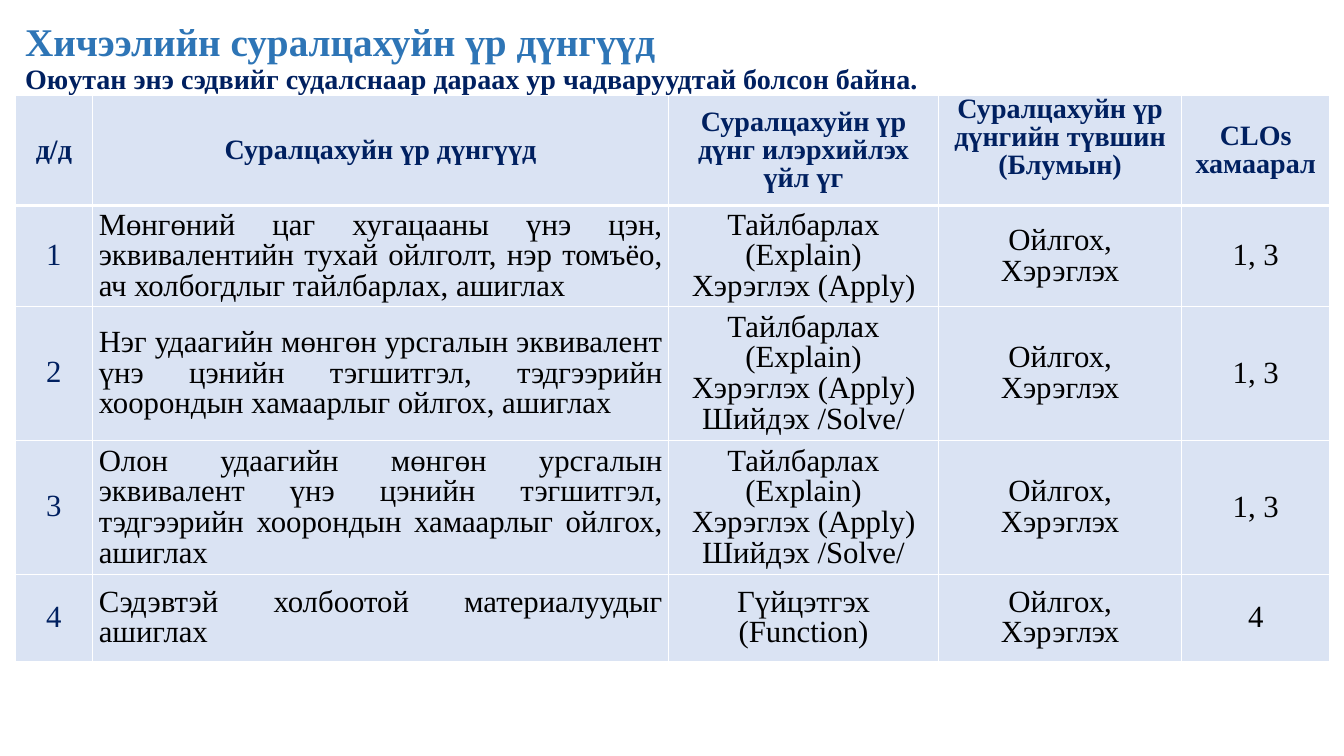
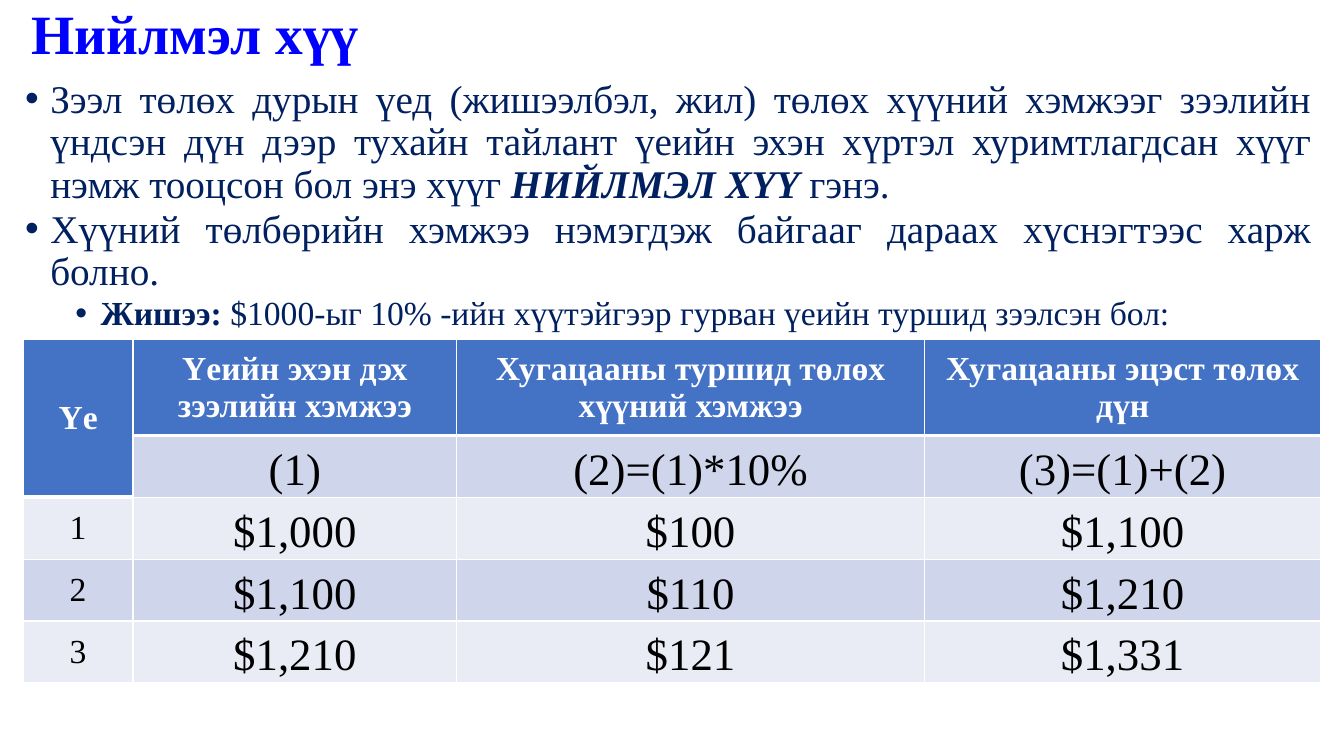
"""Build two slides on learning outcomes and compound interest."""
from lxml.etree import SubElement
from pptx import Presentation
from pptx.dml.color import RGBColor
from pptx.enum.text import MSO_ANCHOR as ANCHOR, PP_ALIGN as ALIGN
from pptx.oxml.ns import qn
from pptx.util import Pt

PX = 9144
FONT = "Times New Roman"
NAVY, BLACK, WHITE = "002060", "000000", "FFFFFF"
SKY, BLUE = "2E75B6", "0000FF"
PALE, HEAD, BAND_LIGHT, BAND_DARK = "DAE3F3", "4472C4", "E9EBF5", "CFD5EA"
rgb = RGBColor.from_string


def write(p, text, size=20, color=NAVY, bold=False, italic=False, align=ALIGN.LEFT, spacing=0.9):
    p.alignment, p.line_spacing = align, spacing
    r = p.add_run()
    r.text = text
    r.font.name, r.font.size = FONT, Pt(size)
    r.font.bold, r.font.italic = bold, italic
    r.font.color.rgb = rgb(color)


def add_grid(slide, box, widths, heights, texts, fills, formats, margins):
    table = slide.shapes.add_table(len(heights), len(widths), *[v * PX for v in box]).table
    for col, width in zip(table.columns, widths):
        col.width = width * PX
    for i, height in enumerate(heights):
        table.rows[i].height = height * PX
        for j, text in enumerate(texts[i]):
            cell = table.cell(i, j)
            head = i == 0 or text is None
            kind = "head" if head else "side" if j == 0 else "inner"
            sides = ["lnL", "lnR"] + ["lnT"] * (i == 0) + ["lnB"]
            for side in sides:
                weight = 3 if head and side == "lnB" else 1
                ln = SubElement(cell._tc.get_or_add_tcPr(), qn(f"a:{side}"), w=str(Pt(weight)))
                SubElement(SubElement(ln, qn("a:solidFill")), qn("a:srgbClr"), val=WHITE)
            cell.fill.solid()
            cell.fill.fore_color.rgb = rgb(fills[0] if head else fills[1 + i % 2])
            cell.vertical_anchor = ANCHOR.MIDDLE
            left, top, right, bottom = margins["inner" if kind == "inner" else "edge"]
            cell.margin_left, cell.margin_top = left * PX, top * PX
            cell.margin_right, cell.margin_bottom = right * PX, bottom * PX
            for n, line in enumerate(text.split("\n") if text else []):
                p = cell.text_frame.add_paragraph() if n else cell.text_frame.paragraphs[0]
                write(p, line, align=ALIGN.CENTER, **formats[kind])
    return table


prs = Presentation()
prs.slide_width, prs.slide_height = 1333 * PX, 750 * PX

titles = [
    ((15, 22, 1289, 73), [("Хичээлийн суралцахуйн үр дүнгүүд", 28, SKY),
                          ("Оюутан энэ сэдвийг судалснаар дараах ур чадваруудтай болсон байна.", 20, NAVY)]),
    ((21, 18, 1284, 37), [("Нийлмэл хүү", 39.6, BLUE)]),
]
slides = []
for box, lines in titles:
    s = prs.slides.add_slide(prs.slide_layouts[6])
    slides.append(s)
    tf = s.shapes.add_textbox(*[v * PX for v in box]).text_frame
    tf.word_wrap, tf.vertical_anchor = True, ANCHOR.MIDDLE
    p = tf.paragraphs[0]
    for n, (text, size, color) in enumerate(lines):
        if n:
            p.add_line_break()
        write(p, text, size=size, color=color, bold=True)
outcomes_slide, interest_slide = slides

explain = "Тайлбарлах (Explain)\nХэрэглэх (Apply)"
solve = explain + "\nШийдэх /Solve/"
level = "Ойлгох,\nХэрэглэх"
outcomes = [
    ["д/д", "Суралцахуйн үр дүнгүүд", "Суралцахуйн үр дүнг илэрхийлэх үйл үг",
     "Суралцахуйн үр дүнгийн түвшин\n(Блумын)", "CLOs хамаарал"],
    ["1", "Мөнгөний цаг хугацааны үнэ цэн, эквивалентийн тухай ойлголт, нэр томъёо, "
     "ач холбогдлыг тайлбарлах, ашиглах", explain, level, "1, 3"],
    ["2", "Нэг удаагийн мөнгөн урсгалын эквивалент үнэ цэнийн тэгшитгэл, тэдгээрийн "
     "хоорондын хамаарлыг ойлгох, ашиглах", solve, level, "1, 3"],
    ["3", "Олон удаагийн мөнгөн урсгалын эквивалент үнэ цэнийн тэгшитгэл, тэдгээрийн "
     "хоорондын хамаарлыг ойлгох, ашиглах", solve, level, "1, 3"],
    ["4", "Сэдэвтэй холбоотой материалуудыг ашиглах", "Гүйцэтгэх (Function)", level, "4"],
]
table = add_grid(
    outcomes_slide, (15, 95, 1304, 562), [77, 571, 268, 241, 147], [109, 80, 98, 99, 86],
    outcomes, [PALE, PALE, PALE],
    {"head": dict(size=20, bold=True), "side": dict(size=22), "inner": dict(size=22, color=BLACK)},
    {"edge": (8, 0, 8, 0), "inner": (6, 1, 6, 0)})
table.cell(0, 3).vertical_anchor = ANCHOR.TOP
for i in range(1, len(outcomes)):
    table.cell(i, 1).text_frame.paragraphs[0].alignment = ALIGN.JUSTIFY

bullets = [
    (0, 28, [("Зээл төлөх дурын үед (жишээлбэл, жил) төлөх хүүний хэмжээг зээлийн үндсэн дүн "
              "дээр тухайн тайлант үеийн эхэн хүртэл хуримтлагдсан хүүг нэмж тооцсон бол энэ хүүг ", {}),
             ("НИЙЛМЭЛ ХҮҮ ", dict(bold=True, italic=True)), ("гэнэ.", {})]),
    (0, 28, [("Хүүний төлбөрийн хэмжээ нэмэгдэж байгааг дараах хүснэгтээс харж болно.", {})]),
    (1, 24, [("Жишээ: ", dict(bold=True)),
             ("$1000-ыг 10% -ийн хүүтэйгээр гурван үеийн туршид зээлсэн бол:", {})]),
]
tf = interest_slide.shapes.add_textbox(15 * PX, 74 * PX, 1295 * PX, 602 * PX).text_frame
tf.word_wrap = True
for n, (depth, size, runs) in enumerate(bullets):
    p = tf.add_paragraph() if n else tf.paragraphs[0]
    p.level = depth
    pPr = p._p.get_or_add_pPr()
    pPr.set("marL", str((25 + 50 * depth) * PX))
    pPr.set("indent", str(-25 * PX))
    SubElement(pPr, qn("a:buFont"), typeface="Arial")
    SubElement(pPr, qn("a:buChar"), char="•")
    if n:
        p.space_before = Pt(2)
    for text, fmt in runs:
        write(p, text, size=size, align=ALIGN.JUSTIFY, **fmt)

interest = [
    ["Үе", "Үеийн эхэн дэх зээлийн хэмжээ", "Хугацааны туршид төлөх хүүний хэмжээ",
     "Хугацааны эцэст төлөх дүн"],
    [None, "(1)", "(2)=(1)*10%", "(3)=(1)+(2)"],
    ["1", "$1,000", "$100", "$1,100"],
    ["2", "$1,100", "$110", "$1,210"],
    ["3", "$1,210", "$121", "$1,331"],
]
table = add_grid(
    interest_slide, (23, 337, 1287, 320), [109, 321, 464, 393], [95, 46, 53, 53, 53],
    interest, [HEAD, BAND_LIGHT, BAND_DARK],
    {"head": dict(size=24, color=WHITE, bold=True, spacing=1.0),
     "side": dict(size=24, color=BLACK, spacing=1.0),
     "inner": dict(size=32, color=BLACK, spacing=1.15)},
    {"edge": (10, 5, 10, 5), "inner": (7, 0, 7, 0)})
table.cell(0, 0).merge(table.cell(1, 0))

prs.save("out.pptx")
